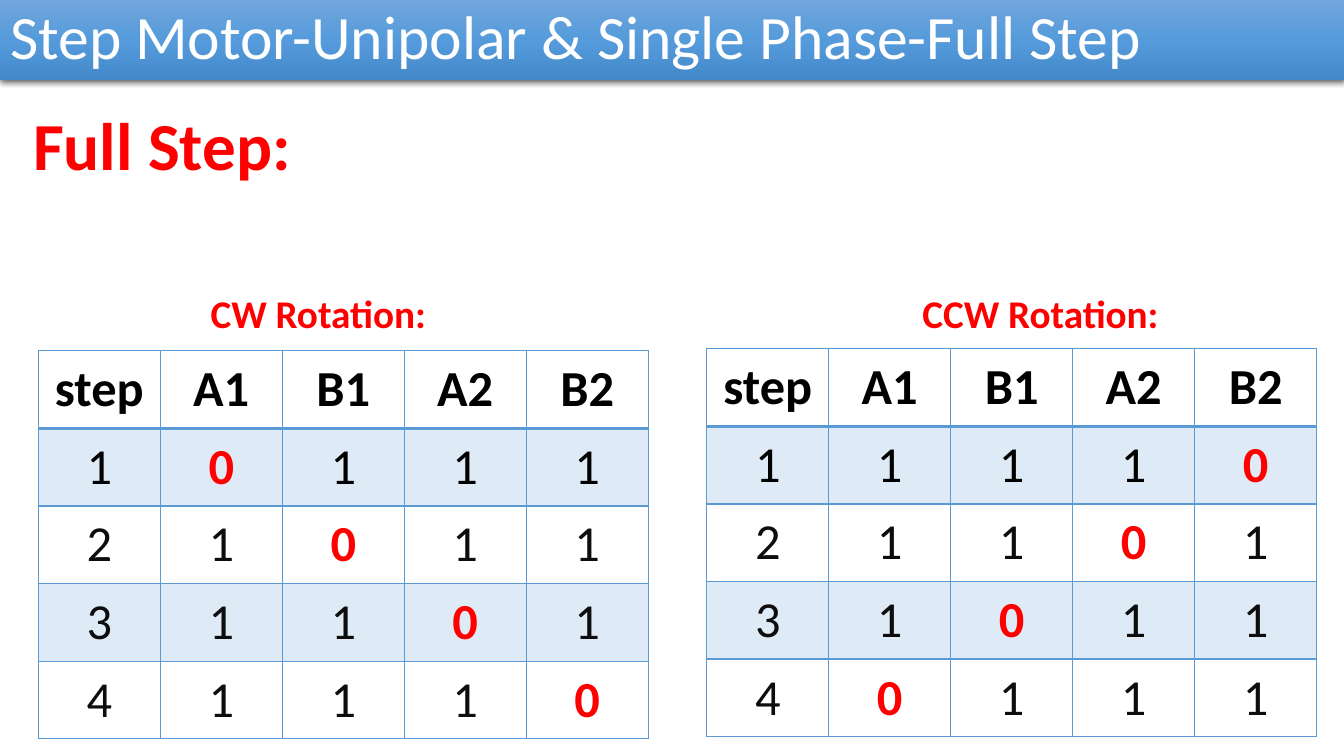
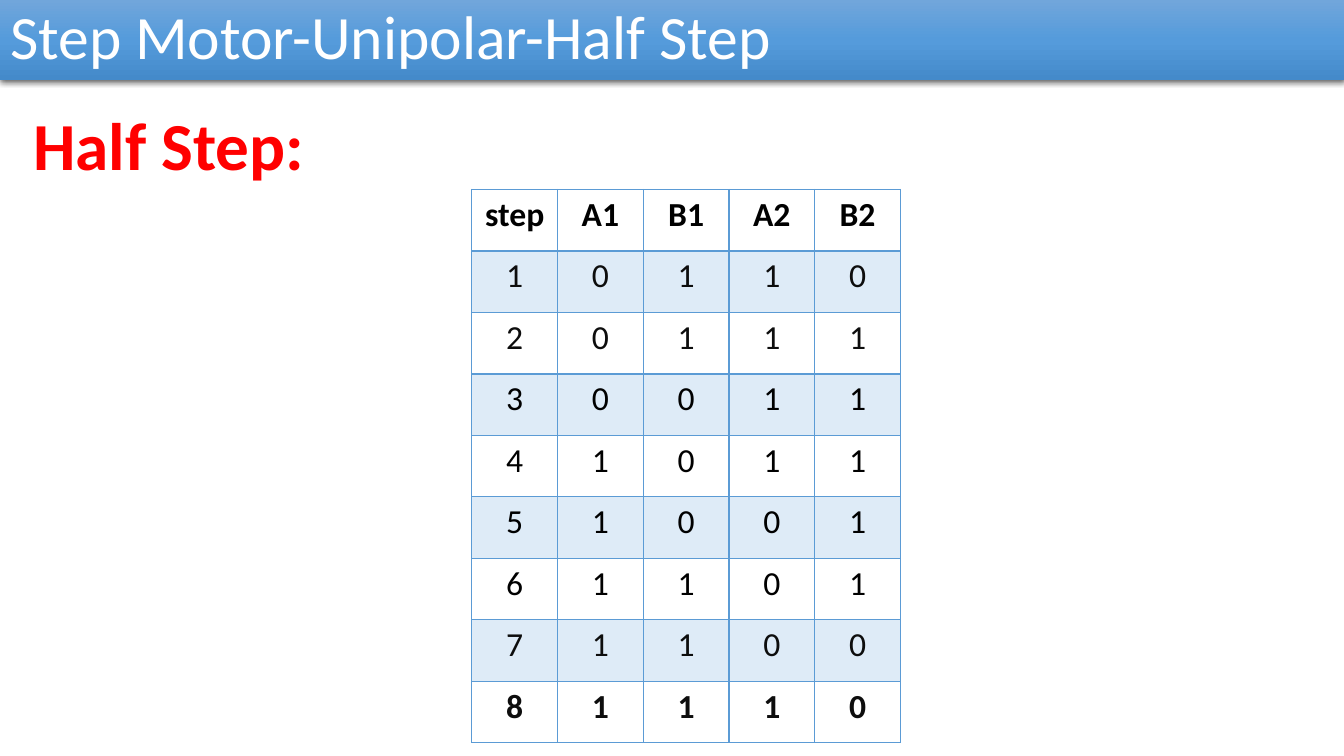
from lxml import etree
from pptx import Presentation
from pptx.dml.color import RGBColor
from pptx.enum.text import MSO_ANCHOR as Anchor, MSO_AUTO_SIZE as AutoSize, PP_ALIGN as Align
from pptx.oxml import parse_xml
from pptx.oxml.ns import nsdecls, qn
from pptx.util import Pt

PX = 9144
SLIDE_W, SLIDE_H = 1333, 750
FONT = "Calibri"
WHITE = RGBColor(0xFF, 0xFF, 0xFF)
BLACK = RGBColor(0x00, 0x00, 0x00)
NEAR_BLACK = RGBColor(0x0D, 0x0D, 0x0D)
RED = RGBColor(0xFF, 0x00, 0x00)
BLUE = RGBColor(0x5B, 0x9B, 0xD5)
STRIPE = RGBColor(0xDE, 0xEB, 0xF7)
BAND_STOPS = (
    (0, RGBColor(0x71, 0xA6, 0xDB)),
    (50, RGBColor(0x55, 0x9B, 0xDB)),
    (100, RGBColor(0x44, 0x8A, 0xCA)),
)
HEADER = ["step", "A1", "B1", "A2", "B2"]
HALF_STEPS = ["0110", "0111", "0011", "1011", "1001", "1101", "1100", "1110"]


def px(*lengths):
    return [n * PX for n in lengths]


def set_font(p, size, color, bold=False):
    f = p.font
    f.name, f.size, f.bold = FONT, Pt(size), bold
    f.color.rgb = color


def style_band(sp):
    stops = "".join(
        f'<a:gs pos="{pos * 1000}"><a:srgbClr val="{color}"/></a:gs>'
        for pos, color in BAND_STOPS
    )
    sp_pr = sp.element.spPr
    sp_pr.append(parse_xml(
        f'<a:gradFill {nsdecls("a")} rotWithShape="1"><a:gsLst>{stops}</a:gsLst>'
        '<a:lin ang="5400000" scaled="0"/></a:gradFill>'
    ))
    sp_pr.append(parse_xml(
        f'<a:effectLst {nsdecls("a")}>'
        f'<a:outerShdw blurRad="{Pt(4.5)}" dist="{Pt(1.5)}" dir="5400000" '
        'algn="ctr" rotWithShape="0"><a:srgbClr val="000000">'
        '<a:alpha val="63000"/></a:srgbClr></a:outerShdw></a:effectLst>'
    ))


def add_titled_slide(prs, title):
    slide = prs.slides.add_slide(prs.slide_layouts[5])
    sp = slide.shapes.title
    sp.left, sp.top, sp.width, sp.height = px(0, 0, SLIDE_W, 79)
    style_band(sp)
    tf = sp.text_frame
    tf.text = title
    tf.auto_size = AutoSize.NONE
    tf.vertical_anchor = Anchor.MIDDLE
    p = tf.paragraphs[0]
    p.alignment = Align.LEFT
    p.line_spacing = 0.9
    set_font(p, 44, WHITE)
    return slide


def add_label(slide, text, box, size):
    tf = slide.shapes.add_textbox(*px(*box)).text_frame
    tf.text = text
    tf.word_wrap = False
    tf.auto_size = AutoSize.SHAPE_TO_FIT_TEXT
    set_font(tf.paragraphs[0], size, RED, True)


def set_borders(cell, widths):
    tc_pr = cell._tc.get_or_add_tcPr()
    for side, width in zip("LRTB", widths):
        ln = etree.SubElement(tc_pr, qn(f"a:ln{side}"), w=str(Pt(width)))
        fill = etree.SubElement(ln, qn("a:solidFill"))
        etree.SubElement(fill, qn("a:srgbClr"), val=str(BLUE))


def add_step_table(slide, left, top, col_w, row_h, size, patterns, black_rows,
                   anchor=Anchor.TOP, red_zeros=False, bold_rows=(0,)):
    rows = [HEADER] + [[str(n), *bits] for n, bits in enumerate(patterns, 1)]
    frame = slide.shapes.add_table(
        len(rows), len(HEADER),
        *px(left, top, col_w * len(HEADER), row_h * len(rows)))
    table = frame.table
    table.first_row = table.horz_banding = False
    for col in table.columns:
        col.width = col_w * PX
    for i, values in enumerate(rows):
        table.rows[i].height = row_h * PX
        for j, value in enumerate(values):
            cell = table.cell(i, j)
            cell.text = value
            cell.vertical_anchor = anchor
            set_borders(cell, (1, 1, 2 if i == 1 else 1, 2 if i == 0 else 1))
            if i % 2:
                cell.fill.solid()
                cell.fill.fore_color.rgb = STRIPE
            else:
                cell.fill.background()
            red = red_zeros and value == "0"
            color = RED if red else BLACK if i in black_rows else NEAR_BLACK
            p = cell.text_frame.paragraphs[0]
            p.alignment = Align.CENTER
            set_font(p, size, color, red or i in bold_rows)


def build_full_step(prs):
    slide = add_titled_slide(prs, "Step Motor-Unipolar & Single Phase-Full Step")
    add_label(slide, "Full Step:", (23, 98, 278, 91), 48)
    clockwise = ["".join("0" if j == i else "1" for j in range(4)) for i in range(4)]
    for left, top, patterns in ((38, 348, clockwise), (701, 346, clockwise[::-1])):
        add_step_table(slide, left, top, 121, 77, 36, patterns, (0, 1),
                       Anchor.MIDDLE, red_zeros=True)
    add_label(slide, "CW Rotation:", (199, 282, 237, 57), 28)
    add_label(slide, "CCW Rotation:", (905, 282, 258, 57), 28)


def build_half_step(prs):
    slide = add_titled_slide(prs, "Step Motor-Unipolar-Half Step")
    add_label(slide, "Half Step:", (23, 98, 292, 91), 48)
    add_step_table(slide, 468, 188, 85, 61, 24, HALF_STEPS, (0, 3, 4, 5, 6),
                   bold_rows=(0, 8))


def main():
    prs = Presentation()
    prs.slide_width, prs.slide_height = px(SLIDE_W, SLIDE_H)
    build_full_step(prs)
    build_half_step(prs)
    prs.save("out.pptx")


if __name__ == "__main__":
    main()
